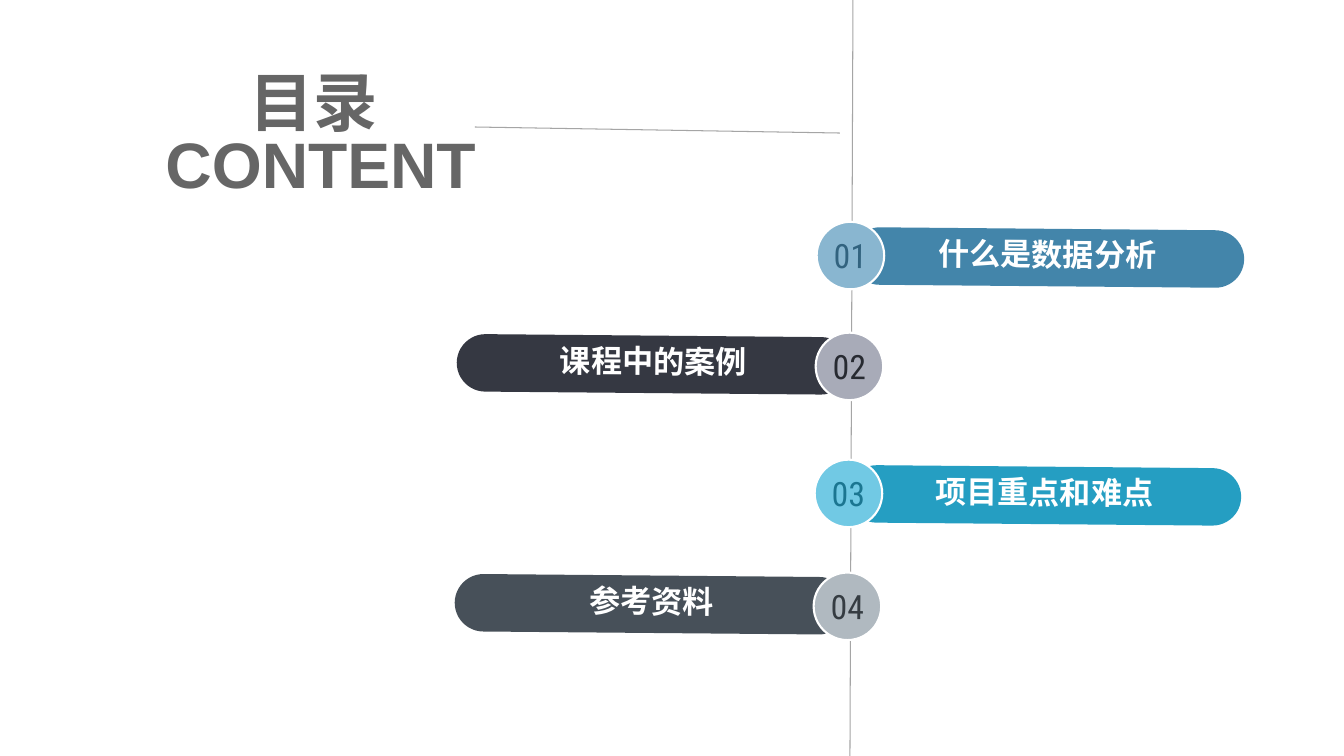
from pptx import Presentation
from pptx.dml.color import RGBColor
from pptx.enum.shapes import MSO_CONNECTOR, MSO_SHAPE
from pptx.enum.text import MSO_ANCHOR, MSO_AUTO_SIZE, PP_ALIGN
from pptx.oxml.ns import qn
from pptx.util import Inches, Pt
from lxml.etree import SubElement

WHITE = RGBColor(0xFF, 0xFF, 0xFF)
GREY = RGBColor(0x66, 0x66, 0x66)
RULE = RGBColor(0xA5, 0xA5, 0xA5)
BLUE, BLUE_LIGHT, BLUE_DARK = (RGBColor.from_string(c) for c in ("4385AA", "89B6D0", "32637F"))
INK, INK_LIGHT, INK_DARK = (RGBColor.from_string(c) for c in ("353842", "A8ABB8", "272A31"))
CYAN, CYAN_LIGHT, CYAN_DARK = (RGBColor.from_string(c) for c in ("259EC2", "71C9E4", "1B7691"))
SLATE, SLATE_LIGHT, SLATE_DARK = (RGBColor.from_string(c) for c in ("475059", "B0B9C0", "353C42"))


class AgendaSlide:
    """Draws the parts of a contents slide in one shared style."""

    heading_font = "Arial"
    number_font = "Roboto Condensed"
    tilt = 0.5
    pill_size = (3.9, 0.57)
    badge_size = (0.67, 0.67)

    def __init__(self, prs):
        self.s = prs.slides.add_slide(prs.slide_layouts[5])

    def set_text(self, sp, text, font, size, color, bold=False, spacing=1.0):
        tf = sp.text_frame
        tf.word_wrap = True
        p = tf.paragraphs[0]
        p.text = text
        p.alignment = PP_ALIGN.CENTER
        p.line_spacing = spacing
        p.space_before = Pt(0)
        p.font.name = font
        p.font.size = Pt(size)
        p.font.bold = bold
        p.font.color.rgb = color
        return tf

    def title(self, text, left, top, width, height):
        sp = self.s.shapes.title
        sp.left, sp.top = Inches(left), Inches(top)
        sp.width, sp.height = Inches(width), Inches(height)
        tf = self.set_text(sp, text, self.heading_font, 45.9, GREY, True, 0.8)
        tf.auto_size = MSO_AUTO_SIZE.NONE
        tf.vertical_anchor = MSO_ANCHOR.TOP

    def line(self, x1, y1, x2, y2):
        ends = [Inches(v) for v in (x1, y1, x2, y2)]
        sp = self.s.shapes.add_connector(MSO_CONNECTOR.STRAIGHT, *ends)
        sp.line.color.rgb = RULE
        sp.line.width = Pt(0.75)
        SubElement(sp.element.spPr, qn("a:effectLst"))

    def shape(self, kind, left, top, size, fill):
        box = [Inches(v) for v in (left, top, *size)]
        sp = self.s.shapes.add_shape(kind, *box)
        sp.rotation = self.tilt
        sp.shadow.inherit = False
        sp.fill.solid()
        sp.fill.fore_color.rgb = fill
        sp.line.fill.background()
        return sp

    def pill(self, text, left, top, fill):
        sp = self.shape(MSO_SHAPE.ROUNDED_RECTANGLE, left, top, self.pill_size, fill)
        sp.adjustments[0] = 0.5
        tf = self.set_text(sp, text, self.heading_font, 22.2, WHITE, True, 0.8)
        tf.vertical_anchor = MSO_ANCHOR.MIDDLE

    def badge(self, text, left, top, fill, color):
        sp = self.shape(MSO_SHAPE.OVAL, left, top, self.badge_size, fill)
        sp.line.color.rgb = WHITE
        sp.line.width = Pt(1.5)
        tf = self.set_text(sp, text, self.number_font, 24, color)
        tf.margin_left = tf.margin_right = tf.margin_top = tf.margin_bottom = 0
        tf.vertical_anchor = MSO_ANCHOR.MIDDLE


def main():
    prs = Presentation()
    prs.slide_width, prs.slide_height = Inches(13.33), Inches(7.5)
    agenda = AgendaSlide(prs)
    agenda.title("目录 \vCONTENT", 1.29, 0.72, 3.78, 1.41)
    agenda.line(8.46, 0, 8.43, 7.5)
    agenda.line(4.71, 1.26, 8.33, 1.32)
    items = [
        ("什么是数据分析", 8.44, 2.27, 8.1, 2.2, BLUE, BLUE_LIGHT, BLUE_DARK),
        ("课程中的案例", 4.53, 3.33, 8.09, 3.3, INK, INK_LIGHT, INK_DARK),
        ("项目重点和难点", 8.41, 4.63, 8.08, 4.56, CYAN, CYAN_LIGHT, CYAN_DARK),
        ("参考资料", 4.51, 5.71, 8.07, 5.68, SLATE, SLATE_LIGHT, SLATE_DARK),
    ]
    for number, item in enumerate(items, 1):
        text, pill_x, pill_y, badge_x, badge_y, fill, light, dark = item
        agenda.pill(text, pill_x, pill_y, fill)
        agenda.badge(f"{number:02d}", badge_x, badge_y, light, dark)
    prs.save("out.pptx")


if __name__ == "__main__":
    main()
